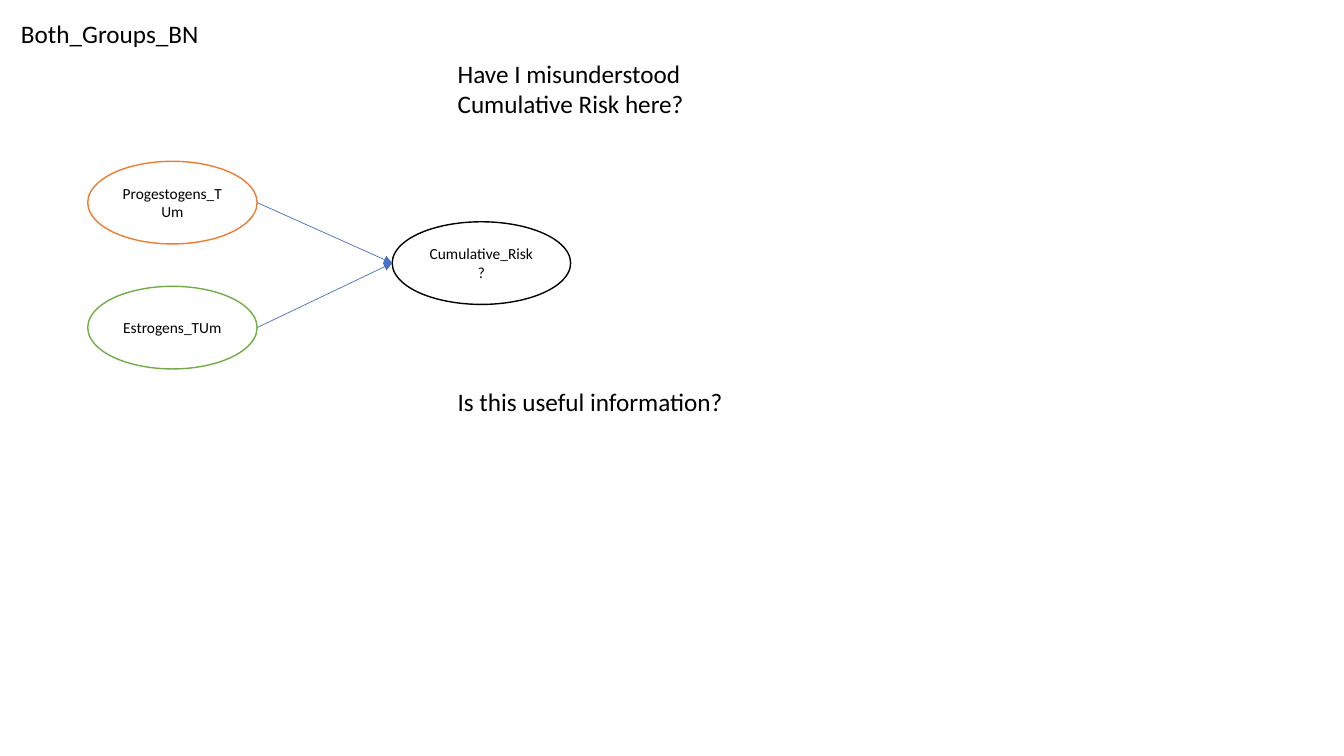
from lxml import etree
from pptx import Presentation
from pptx.dml.color import RGBColor
from pptx.enum.shapes import MSO_CONNECTOR, MSO_SHAPE
from pptx.enum.text import MSO_ANCHOR, MSO_AUTO_SIZE, PP_ALIGN
from pptx.oxml.ns import qn
from pptx.util import Emu, Pt

OVAL = MSO_SHAPE.OVAL
STRAIGHT = MSO_CONNECTOR.STRAIGHT
MIDDLE = MSO_ANCHOR.MIDDLE
CENTER = PP_ALIGN.CENTER
GROW = MSO_AUTO_SIZE.SHAPE_TO_FIT_TEXT

EMU_PER_PX = 9144
FONT = "Calibri"
BLACK, ORANGE, GREEN, BLUE = "000000", "ED7D31", "70AD47", "4472C4"
NODE_HEIGHT = 82


def px(*lengths):
    """Turn px lengths into EMU."""
    return [Emu(n * EMU_PER_PX) for n in lengths]


def color(hex_code):
    """Return the colour of a hex string."""
    return RGBColor.from_string(hex_code)


def write(tf, text, size):
    """Put black text of one size in a wrapping text frame."""
    tf.word_wrap = True
    tf.text = text
    p = tf.paragraphs[0]
    font = p.runs[0].font
    font.name, font.size = FONT, Pt(size)
    font.color.rgb = color(BLACK)
    return p


def add_note(s, text, left, top, width, height):
    """Add a text box that grows with its text."""
    tf = s.shapes.add_textbox(*px(left, top, width, height)).text_frame
    write(tf, text, 18)
    tf.auto_size = GROW


def add_node(s, text, left, top, width, outline):
    """Add an outlined oval network node."""
    sp = s.shapes.add_shape(OVAL, *px(left, top, width, NODE_HEIGHT))
    sp.shadow.inherit = False
    sp.fill.background()
    sp.line.color.rgb = color(outline)
    sp.line.width = Pt(1)
    sp.text_frame.vertical_anchor = MIDDLE
    write(sp.text_frame, text, 11).alignment = CENTER
    return sp


def add_arrow(s, source, target):
    """Draw an arrow from the right of one node to the left of another."""
    cxn = s.shapes.add_connector(
        STRAIGHT,
        source.left + source.width, source.top + source.height // 2,
        target.left, target.top + target.height // 2)
    cxn.line.color.rgb = color(BLUE)
    cxn.line.width = Pt(0.5)
    ln = cxn.line._get_or_add_ln()
    etree.SubElement(ln, qn("a:tailEnd"), type="triangle")
    etree.SubElement(ln.getparent(), qn("a:effectLst"))


def main():
    """Build the slide and save it."""
    prs = Presentation()
    prs.slide_width, prs.slide_height = px(1333, 750)
    s = prs.slides.add_slide(prs.slide_layouts[6])

    add_note(s, "Both_Groups_BN", 11, 13, 222, 40)
    causes = [
        add_node(s, "Progestogens_TUm", 87, 160, 168, ORANGE),
        add_node(s, "Estrogens_TUm", 87, 284, 168, GREEN),
    ]
    risk = add_node(s, "Cumulative_Risk?", 389, 220, 177, BLACK)
    for cause in causes:
        add_arrow(s, cause, risk)
    add_note(s, "Have I misunderstood Cumulative Risk here?", 444, 53, 258, 71)
    add_note(s, "Is this useful information?", 444, 378, 346, 40)

    prs.save("out.pptx")


if __name__ == "__main__":
    main()
